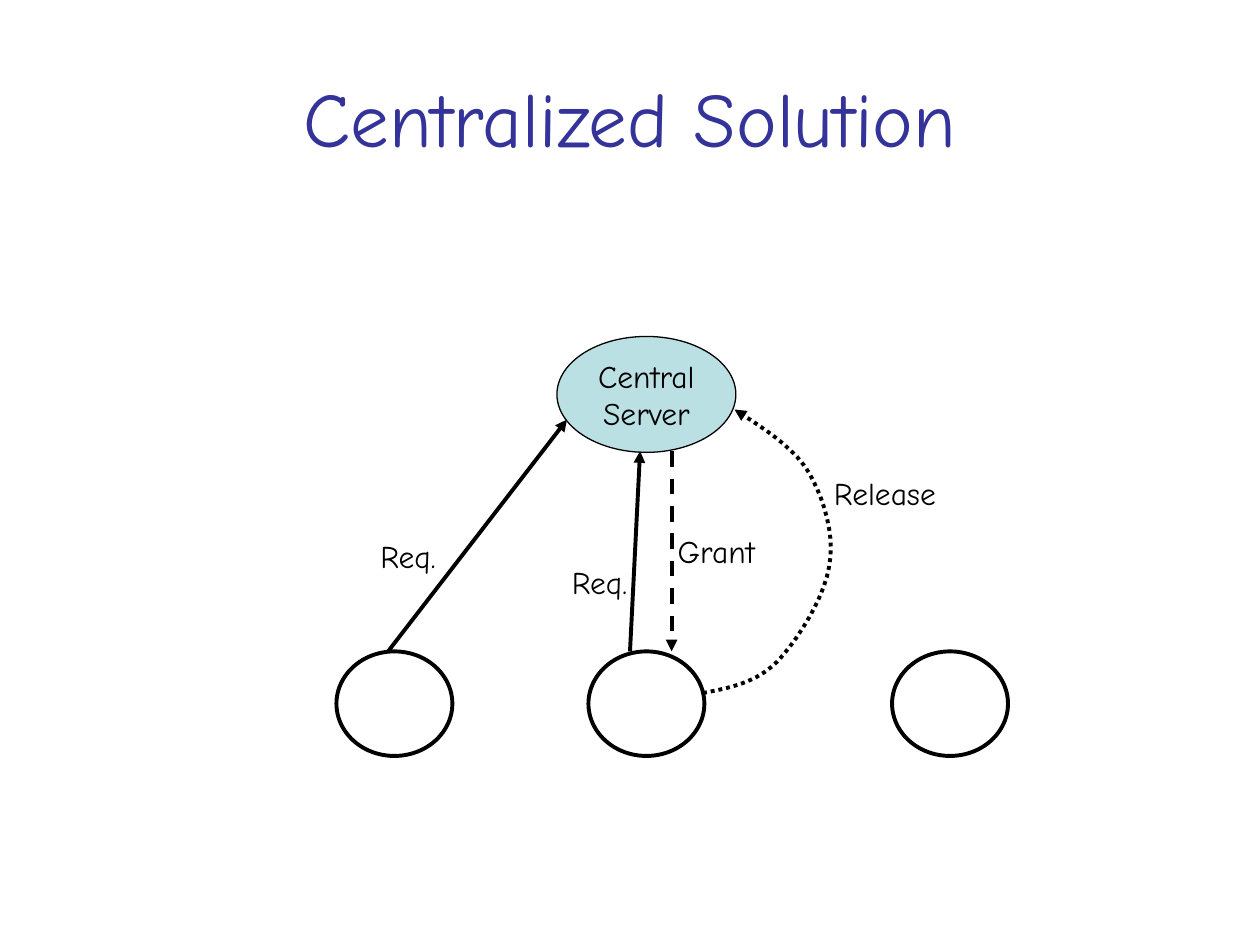
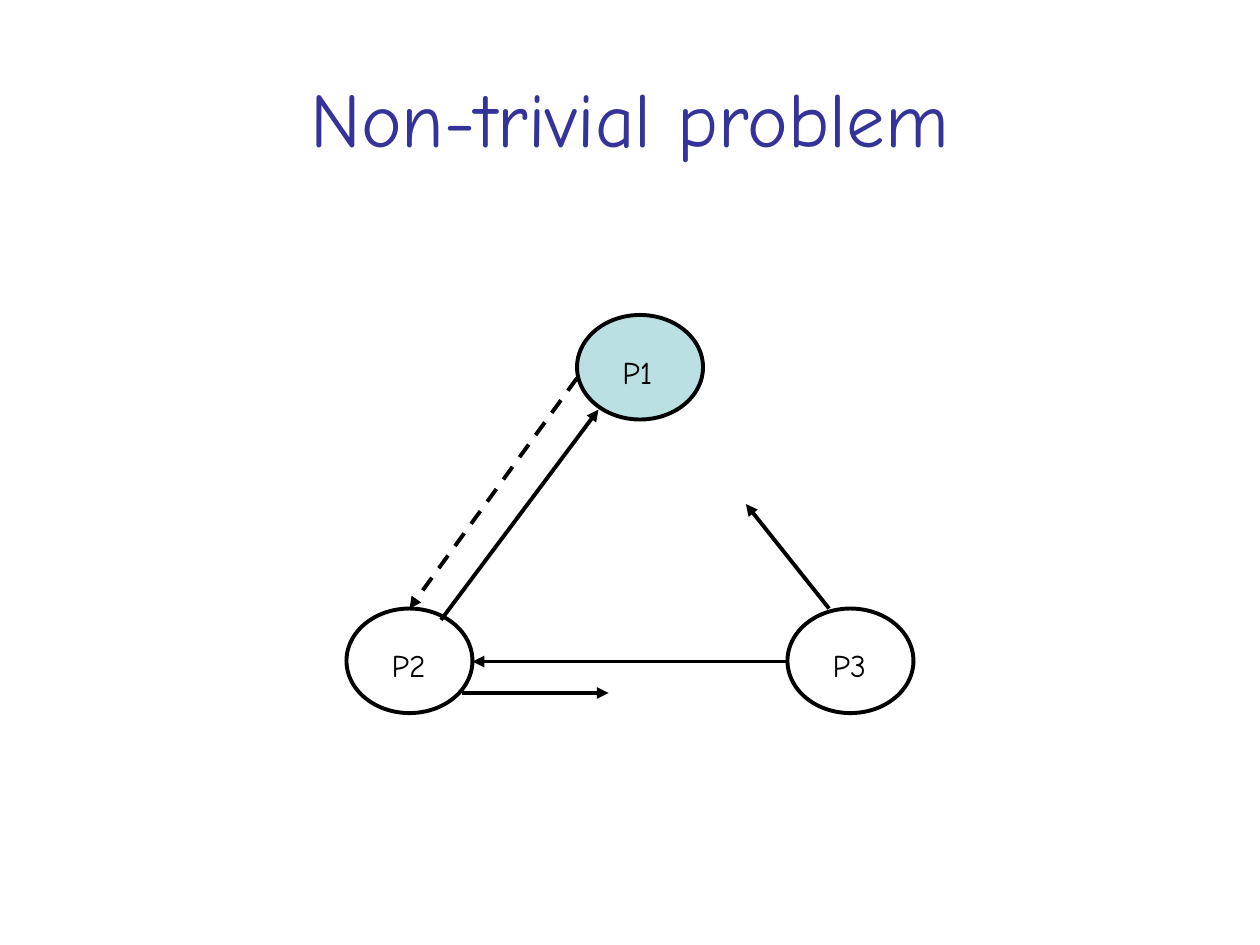
"""Two diagrams of mutual exclusion: a central server and a distributed request."""
from lxml import etree
from pptx import Presentation
from pptx import util as u
from pptx.dml.color import RGBColor
from pptx.enum import dml, shapes, text
from pptx.oxml.ns import qn

FONT = "Comic Neue"
TITLE_BLUE = RGBColor(0x33, 0x33, 0x99)
BLACK = RGBColor(0, 0, 0)
SERVER_BLUE = RGBColor(0xBB, 0xE0, 0xE3)
BODY_SIZE = 18
LINE_WIDTH = 2.25
NODE_HEIGHT = 0.83
DASH = dml.MSO_LINE.DASH
DOTS = dml.MSO_LINE.ROUND_DOT


def write(sp, content, size=BODY_SIZE, color=BLACK, align=text.PP_ALIGN.LEFT,
          anchor=text.MSO_ANCHOR.TOP, wrap=False):
    """Put text into a shape, one paragraph per line, and format it."""
    tf = sp.text_frame
    tf.word_wrap = wrap
    tf.vertical_anchor = anchor
    tf.text = content
    for p in tf.paragraphs:
        p.alignment = align
        for r in p.runs:
            r.font.name = FONT
            r.font.size = u.Pt(size)
            r.font.color.rgb = color


def set_fill(sp, fill):
    """Fill a shape with a colour, or leave it hollow for None."""
    if fill is None:
        sp.fill.background()
    else:
        sp.fill.solid()
        sp.fill.fore_color.rgb = fill


def add_label(parent, content, left, top, width, height=0.4, fill=None):
    """Add a text box to a slide or group and return it."""
    sp = parent.shapes.add_textbox(*map(u.Inches, (left, top, width, height)))
    set_fill(sp, fill)
    write(sp, content)
    return sp


def add_ellipse(parent, left, top, width, height=NODE_HEIGHT, fill=None, weight=LINE_WIDTH):
    """Add a black-outlined ellipse, hollow unless a fill is given."""
    sp = parent.shapes.add_shape(shapes.MSO_SHAPE.OVAL,
                                 *map(u.Inches, (left, top, width, height)))
    sp.shadow.inherit = False
    set_fill(sp, fill)
    sp.line.color.rgb = BLACK
    sp.line.width = u.Pt(weight)
    return sp


def add_process(slide, name, left, top, fill=None):
    """Add a named process as a group of an ellipse and its label."""
    group = slide.shapes.add_group_shape()
    add_ellipse(group, left, top, 1, fill=fill)
    add_label(group, name, left + 0.26, top + 0.25, 0.49, fill=fill)


def style_arrow(sp, dash=None):
    """Make a line black, with an arrowhead at its end and no shadow."""
    sp.line.color.rgb = BLACK
    sp.line.width = u.Pt(LINE_WIDTH)
    if dash is not None:
        sp.line.dash_style = dash
    ln = sp.line._get_or_add_ln()
    etree.SubElement(ln, qn("a:tailEnd"), type="triangle")
    etree.SubElement(ln.getparent(), qn("a:effectLst"))


def add_arrow(slide, start, end, dash=None):
    """Add a straight arrow between two points."""
    sp = slide.shapes.add_connector(shapes.MSO_CONNECTOR.STRAIGHT,
                                    *map(u.Inches, (*start, *end)))
    style_arrow(sp, dash)


def bezier_points(start, curves, steps=10):
    """Return points along a chain of cubic Bezier curves."""
    points = [start]
    for c1, c2, end in curves:
        for i in range(1, steps + 1):
            t = i / steps
            s = 1 - t
            points.append(tuple(
                s**3 * a + 3 * s * s * t * b + 3 * s * t * t * c + t**3 * d
                for a, b, c, d in zip(start, c1, c2, end)))
        start = end
    return points


def add_curved_arrow(slide, start, curves, dash):
    """Add an open curved arrow."""
    first, *rest = [(u.Inches(x), u.Inches(y)) for x, y in bezier_points(start, curves)]
    builder = slide.shapes.build_freeform(*first)
    builder.add_line_segments(rest, close=False)
    sp = builder.convert_to_shape()
    set_fill(sp, None)
    style_arrow(sp, dash)


def add_titled_slide(prs, title):
    """Add a blank slide with the shared title style."""
    slide = prs.slides.add_slide(prs.slide_layouts[6])
    sp = add_label(slide, "", 0.5, 0.3, 9, 1.25)
    write(sp, title, 44, TITLE_BLUE, text.PP_ALIGN.CENTER, text.MSO_ANCHOR.MIDDLE, True)
    return slide


def build_centralized(prs):
    """Build the slide with clients around a central server."""
    slide = add_titled_slide(prs, "Centralized Solution")
    server = add_ellipse(slide, 4.42, 2.67, 1.42, 0.92, SERVER_BLUE, 0.75)
    write(server, "Central\nServer", align=text.PP_ALIGN.CENTER,
          anchor=text.MSO_ANCHOR.MIDDLE)
    for left in (2.67, 4.67, 7.08):
        add_ellipse(slide, left, 5.17, 0.92)
    add_arrow(slide, (3.08, 5.17), (4.5, 3.33))
    add_arrow(slide, (5, 5.17), (5.08, 3.58))
    add_arrow(slide, (5.33, 3.58), (5.33, 5.17), DASH)
    add_curved_arrow(slide, (5.58, 5.5), [
        ((5.79, 5.46), (6, 5.42), (6.17, 5.25)),
        ((6.33, 5.08), (6.54, 4.75), (6.58, 4.5)),
        ((6.63, 4.25), (6.54, 3.96), (6.42, 3.75)),
        ((6.29, 3.54), (6.06, 3.4), (5.83, 3.25)),
    ], DOTS)
    for content, left, top, width in (
            ("Req.", 2.92, 4.21, 0.64), ("Req.", 4.44, 4.42, 0.64),
            ("Grant", 5.28, 4.17, 0.81), ("Release", 6.52, 3.71, 1.01)):
        add_label(slide, content, left, top, width)


def build_non_trivial(prs):
    """Build the slide with three processes asking each other."""
    slide = add_titled_slide(prs, "Non-trivial problem")
    add_process(slide, "P1", 4.58, 2.5, SERVER_BLUE)
    add_process(slide, "P2", 2.75, 4.83)
    add_process(slide, "P3", 6.25, 4.83)
    for start, end in (((6.25, 5.25), (3.75, 5.25)), ((6.58, 4.83), (5.92, 4)),
                       ((3.5, 4.92), (4.75, 3.25)), ((3.67, 5.5), (4.83, 5.5))):
        add_arrow(slide, start, end)
    add_arrow(slide, (4.58, 3), (3.25, 4.83), DASH)


def main():
    """Build and save the presentation."""
    prs = Presentation()
    prs.slide_width, prs.slide_height = u.Inches(10), u.Inches(7.5)
    build_centralized(prs)
    build_non_trivial(prs)
    prs.save("out.pptx")


if __name__ == "__main__":
    main()
